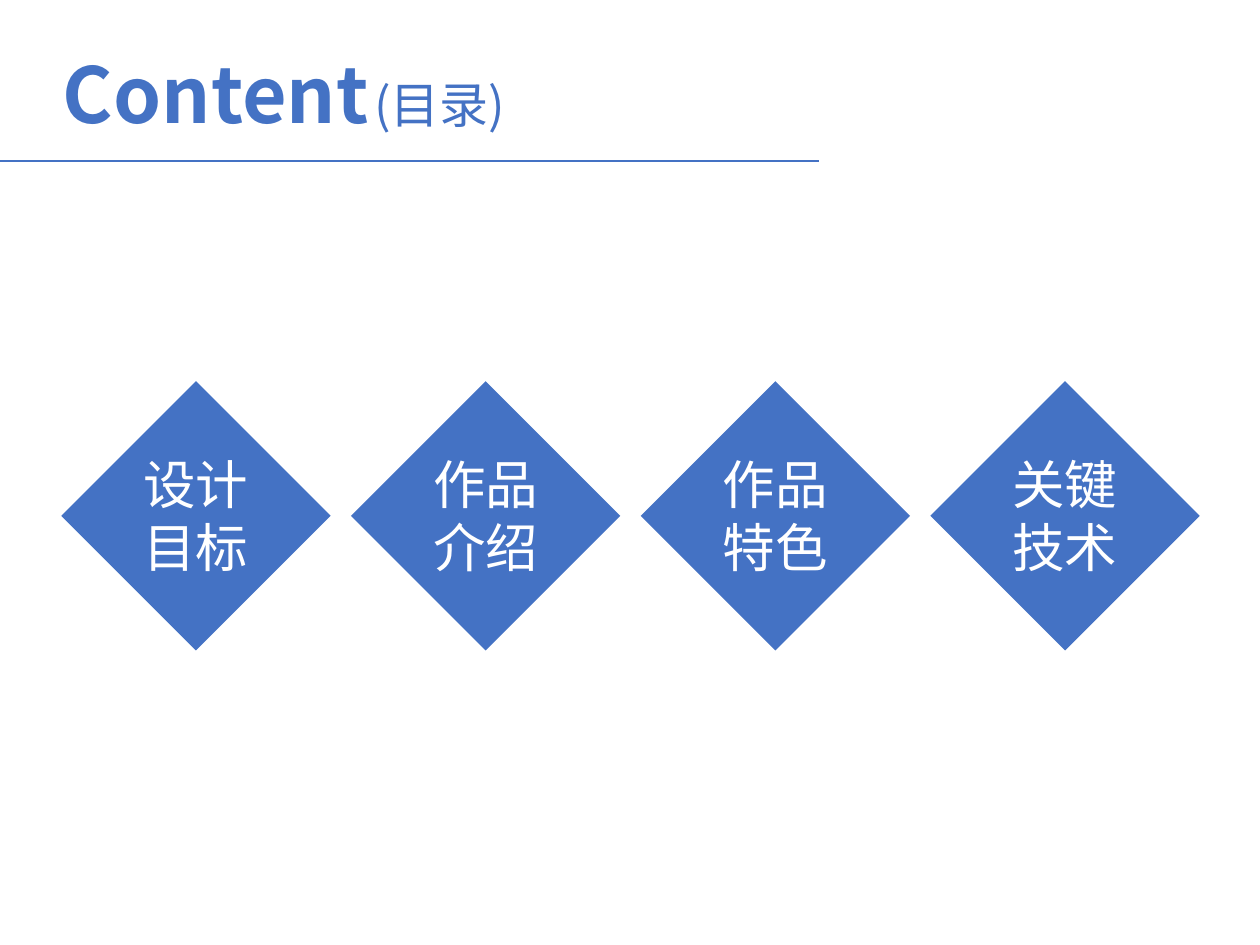
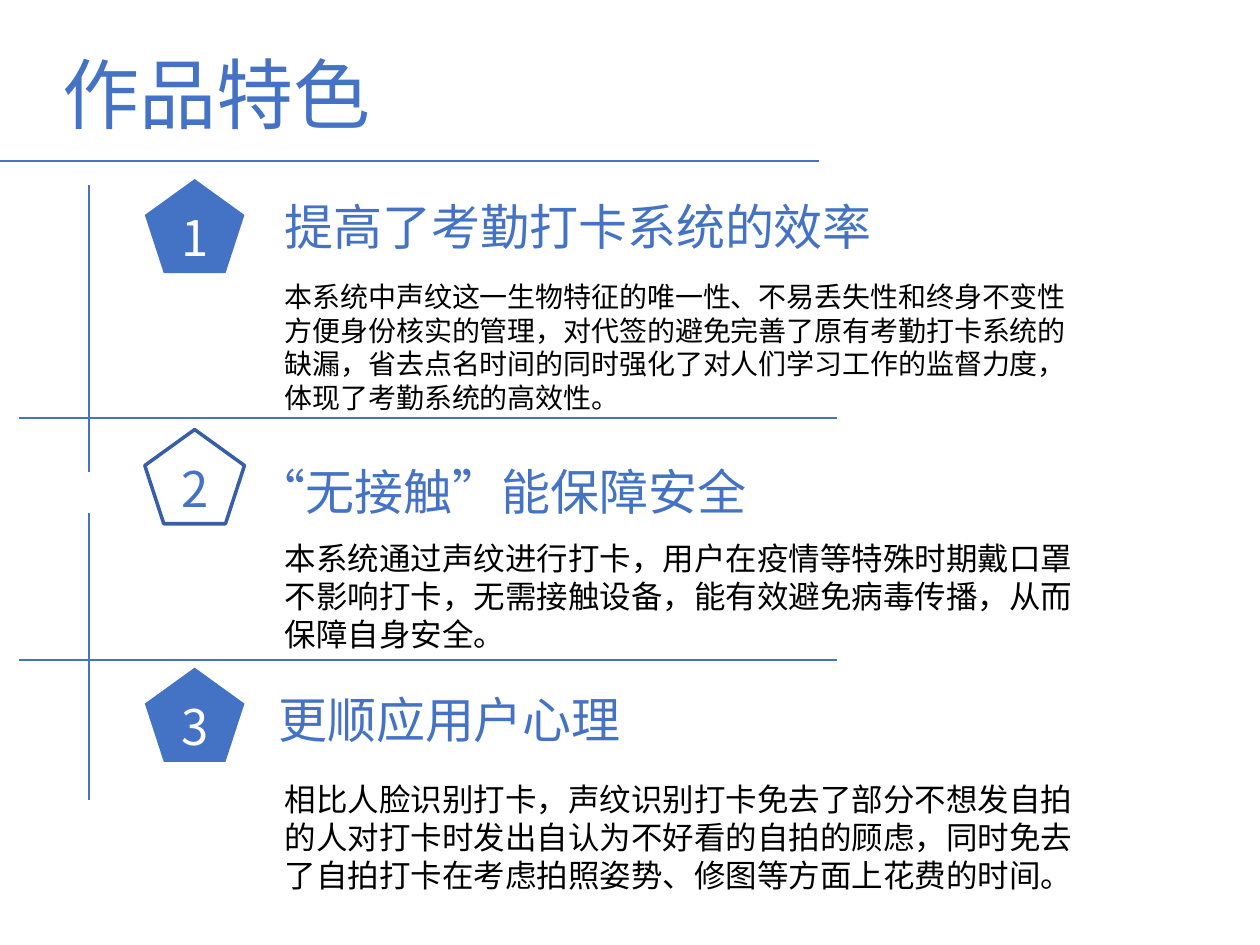
from pptx import Presentation
from pptx.dml.color import RGBColor
from pptx.enum.shapes import MSO_CONNECTOR, MSO_SHAPE
from pptx.enum.text import MSO_ANCHOR, PP_ALIGN
from pptx.oxml.ns import qn
from pptx.util import Cm, Pt
from lxml import etree

BLUE, DARK_BLUE, WHITE, BLACK = "4472C4", "365FAA", "FFFFFF", "000000"
FONT = "Noto Sans CJK SC"


def rgb(value):
    return RGBColor.from_string(value)


class Deck:
    """Shared style plus the slide being filled; lengths are centimetres."""

    def __init__(self):
        self.prs = Presentation()
        self.prs.slide_width, self.prs.slide_height = Cm(25.4), Cm(19.05)
        self.s = None

    def slide(self, *title_runs):
        self.s = self.prs.slides.add_slide(self.prs.slide_layouts[6])
        self.line(0, 3.25, 16.51, 3.25)
        self.text(1.02, 0.81, 20.4, 1.8, title_runs)

    def line(self, x1, y1, x2, y2):
        c = self.s.shapes.add_connector(
            MSO_CONNECTOR.STRAIGHT, Cm(x1), Cm(y1), Cm(x2), Cm(y2))
        c.line.color.rgb = rgb(BLUE)
        c.line.width = Pt(1.25)
        etree.SubElement(c._element.spPr, qn("a:effectLst"))

    def shape(self, kind, x, y, w, h, fill=None, outline=None):
        sp = self.s.shapes.add_shape(kind, Cm(x), Cm(y), Cm(w), Cm(h))
        sp.shadow.inherit = False
        if fill:
            sp.fill.solid()
            sp.fill.fore_color.rgb = rgb(fill)
        else:
            sp.fill.background()
        if outline:
            sp.line.color.rgb = rgb(outline)
            sp.line.width = Pt(2)
        else:
            sp.line.fill.background()
        return sp

    def text(self, x, y, w, h, runs, align=PP_ALIGN.LEFT):
        sp = self.s.shapes.add_textbox(Cm(x), Cm(y), Cm(w), Cm(h))
        sp.text_frame.word_wrap = True
        self.add_runs(sp.text_frame, runs, align)

    def add_runs(self, tf, runs, align):
        """Each run is (text, size, colour, bold)."""
        p = tf.paragraphs[0]
        p.alignment = align
        for words, size, color, bold in runs:
            r = p.add_run()
            r.text = words
            f = r.font
            f.name, f.size, f.bold = FONT, Pt(size), bold
            f.color.rgb = rgb(color)
            rPr = r._r.get_or_add_rPr()
            rPr.set("lang", "zh-CN")
            etree.SubElement(rPr, qn("a:ea"), typeface=FONT)

    def diamond(self, x, label):
        side, text_w = 3.84, 3.43
        sp = self.shape(MSO_SHAPE.RECTANGLE, x, 8.48, side, side, BLUE)
        sp.rotation = 45
        self.text(x + (side - text_w) / 2, 8.99, text_w, 2.82,
                  [(label, 30, WHITE, False)], PP_ALIGN.CENTER)

    def badge(self, y, number, filled):
        sp = self.shape(MSO_SHAPE.REGULAR_PENTAGON, 2.92, y, 2.01, 1.9,
                        BLUE if filled else None,
                        None if filled else DARK_BLUE)
        sp.text_frame.vertical_anchor = MSO_ANCHOR.MIDDLE
        self.add_runs(sp.text_frame,
                      [(str(number), 28, WHITE if filled else BLUE, False)],
                      PP_ALIGN.CENTER)


def build_contents(deck):
    deck.slide(("Content", 44, BLUE, True), (" ", 14, BLUE, True),
               ("(目录)", 28, BLUE, False))
    for i, label in enumerate(("设计目标", "作品介绍", "作品特色", "关键技术")):
        deck.diamond(2.03 + 5.84 * i, label)


def build_features(deck):
    deck.slide(("作品特色", 44, BLUE, False))

    # Dividers and the broken vertical rule
    for y in (8.43, 13.31):
        deck.line(0.38, y, 16.87, y)
    for y in (3.73, 10.34):
        deck.line(1.8, y, 1.8, y + 5.79)

    # badge top, heading left and top, heading, body top and size, body
    features = (
        (3.61, 5.49, 3.84, "提高了考勤打卡系统的效率", 5.51, 16,
         "本系统中声纹这一生物特征的唯一性、不易丢失性和终身不变性"
         "方便身份核实的管理，对代签的避免完善了原有考勤打卡系统的"
         "缺漏，省去点名时间的同时强化了对人们学习工作的监督力度，"
         "体现了考勤系统的高效性。"),
        (8.66, 4.93, 9.17, "“无接触”能保障安全", 10.74, 18,
         "本系统通过声纹进行打卡，用户在疫情等特殊时期戴口罩"
         "不影响打卡，无需接触设备，能有效避免病毒传播，从而"
         "保障自身安全。"),
        (13.46, 5.36, 13.77, "更顺应用户心理", 15.6, 18,
         "相比人脸识别打卡，声纹识别打卡免去了部分不想发自拍"
         "的人对打卡时发出自认为不好看的自拍的顾虑，同时免去"
         "了自拍打卡在考虑拍照姿势、修图等方面上花费的时间。"),
    )
    for n, (top, x, head_y, head, body_y, size, body) in enumerate(features, 1):
        deck.badge(top, n, filled=n % 2 == 1)
        deck.text(x, head_y, 12.9, 1.45, [(head, 28, BLUE, False)])
        deck.text(5.49, body_y, 16.46, 2.57, [(body, size, BLACK, False)])


def main():
    deck = Deck()
    build_contents(deck)
    build_features(deck)
    deck.prs.save("out.pptx")


if __name__ == "__main__":
    main()
